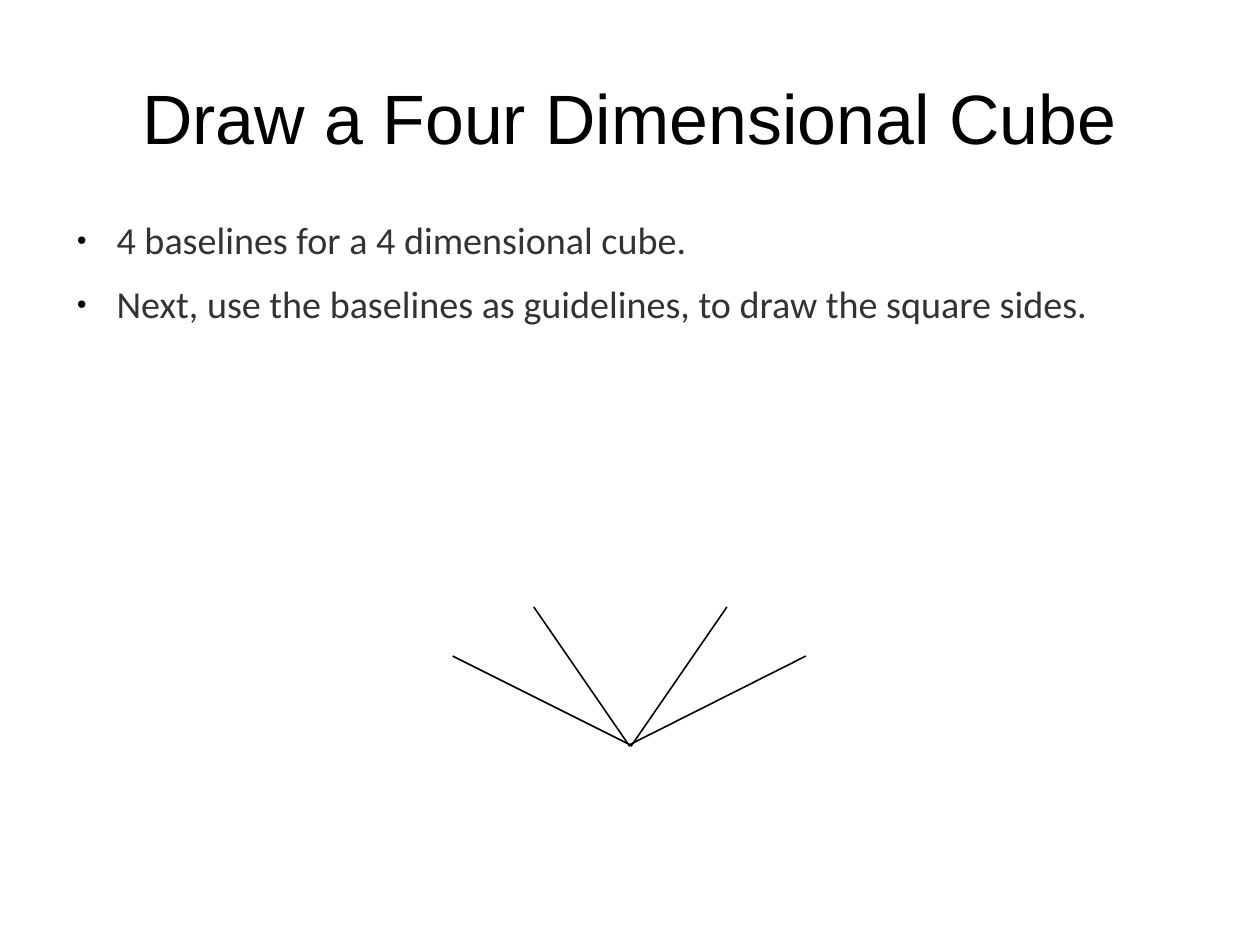
import pptx
import pptx.dml.color
import pptx.enum.shapes
import pptx.enum.text
import pptx.oxml.ns
import pptx.util
from lxml import etree

Inches = pptx.util.Inches
Pt = pptx.util.Pt
CM_PER_INCH = 2.54


def color(hex_code):
    return pptx.dml.color.RGBColor.from_string(hex_code)


class CubeSlide:
    """Draws styled elements on one title-only slide."""

    INK = "000000"
    BODY_INK = "333333"
    MARGIN = 0.55
    WIDTH = 9.92

    def __init__(self, presentation):
        self.slide = presentation.slides.add_slide(presentation.slide_layouts[5])

    def place_frame(self, box, top, height, anchor):
        box.left, box.top = Inches(self.MARGIN), Inches(top)
        box.width, box.height = Inches(self.WIDTH), Inches(height)
        frame = box.text_frame
        frame.margin_left = frame.margin_right = 0
        frame.margin_top = frame.margin_bottom = 0
        frame.word_wrap = True
        frame.auto_size = pptx.enum.text.MSO_AUTO_SIZE.NONE
        frame.vertical_anchor = anchor
        return frame

    def style_font(self, paragraph, name, size, ink):
        paragraph.font.name = name
        paragraph.font.size = Pt(size)
        paragraph.font.color.rgb = color(ink)

    def title(self, text):
        frame = self.place_frame(self.slide.shapes.title, 0.33, 1.38,
                                 pptx.enum.text.MSO_ANCHOR.MIDDLE)
        frame.text = text
        heading = frame.paragraphs[0]
        heading.alignment = pptx.enum.text.PP_ALIGN.CENTER
        self.style_font(heading, "Arial", 44, self.INK)

    def add_bullet(self, paragraph):
        properties = paragraph._p.get_or_add_pPr()
        properties.set("marL", str(Inches(0.47)))
        properties.set("indent", str(Inches(-0.35)))
        qn = pptx.oxml.ns.qn
        tint = etree.SubElement(properties, qn("a:buClr"))
        etree.SubElement(tint, qn("a:srgbClr"), val=self.INK)
        etree.SubElement(properties, qn("a:buSzPct"), val="45000")
        etree.SubElement(properties, qn("a:buFont"), typeface="Arial")
        etree.SubElement(properties, qn("a:buChar"), char="●")

    def bullets(self, items):
        box = self.slide.shapes.add_textbox(0, 0, 0, 0)
        frame = self.place_frame(box, 1.94, 5.46, pptx.enum.text.MSO_ANCHOR.TOP)
        for index, item in enumerate(items):
            point = frame.add_paragraph() if index else frame.paragraphs[0]
            point.text = item
            point.line_spacing = 0.9
            point.space_after = Pt(14.1)
            self.add_bullet(point)
            self.style_font(point, "Calibri", 24, self.BODY_INK)

    def baseline(self, start, end):
        line = self.slide.shapes.add_connector(
            pptx.enum.shapes.MSO_CONNECTOR.STRAIGHT,
            *(Inches(value) for value in start + end))
        line.line.color.rgb = color(self.INK)
        line.line.width = Pt(1)
        etree.SubElement(line._element.spPr, pptx.oxml.ns.qn("a:effectLst"))


def main():
    presentation = pptx.Presentation()
    presentation.slide_width = Inches(28 / CM_PER_INCH)
    presentation.slide_height = Inches(21 / CM_PER_INCH)
    cube = CubeSlide(presentation)
    cube.title("Draw a Four Dimensional Cube")
    cube.bullets([
        "4 baselines for a 4 dimensional cube.",
        "Next, use the baselines as guidelines, to draw the square sides.",
    ])
    for start, end in [
        ((3.96, 5.74), (5.52, 6.52)),
        ((4.67, 5.31), (5.51, 6.53)),
        ((5.52, 6.53), (6.36, 5.31)),
        ((5.5, 6.52), (7.05, 5.74)),
    ]:
        cube.baseline(start, end)
    presentation.save("out.pptx")


if __name__ == "__main__":
    main()
